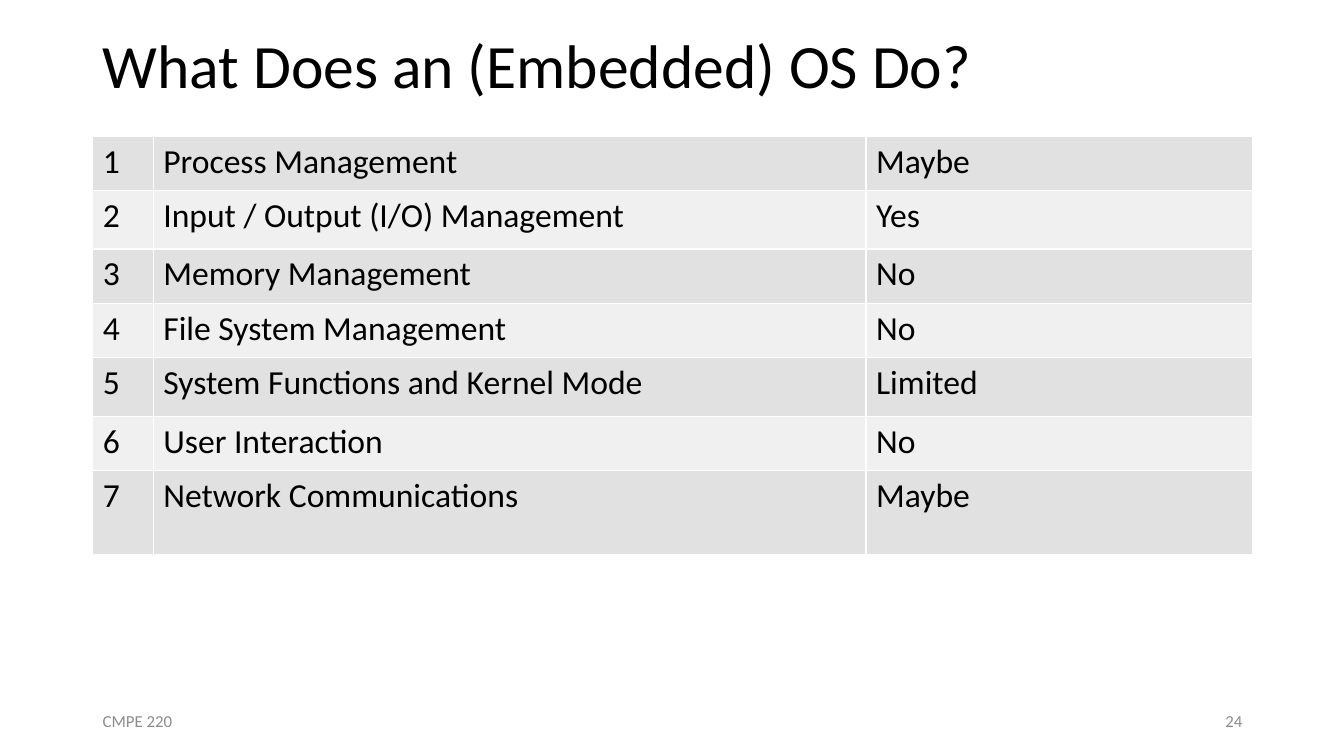
"""Build the slide on what an embedded operating system does."""
from lxml import etree
from pptx import Presentation
from pptx.dml.color import RGBColor
from pptx.enum import text
from pptx.oxml import ns
from pptx.util import Inches, Pt

BLACK = RGBColor(0, 0, 0)
GREY = RGBColor(0x8C, 0x8C, 0x8C)
DARK = RGBColor(0xE1, 0xE1, 0xE1)
LIGHT = RGBColor(0xF0, 0xF0, 0xF0)
WHITE = RGBColor(0xFF, 0xFF, 0xFF)
LEFT, WIDTH = 0.92, 11.5


def style(para, size, color):
    para.font.color.rgb = color
    for key, value in {"name": "Calibri", "size": Pt(size), "bold": False}.items():
        setattr(para.font, key, value)


def edge(cell):
    props = cell._tc.get_or_add_tcPr()
    for side in "LRTB":
        line = etree.SubElement(props, ns.qn(f"a:ln{side}"), w=str(Pt(1)))
        fill = etree.SubElement(line, ns.qn("a:solidFill"))
        etree.SubElement(fill, ns.qn("a:srgbClr"), val=str(WHITE))


deck = Presentation()
deck.slide_width, deck.slide_height = Inches(13.33), Inches(7.5)
slide = deck.slides.add_slide(deck.slide_layouts[6])

ALIGN = text.PP_ALIGN
labels = [
    ("What Does an (Embedded) OS Do?", LEFT, 0, WIDTH, 1.35, 44, BLACK, ALIGN.LEFT, 0.9),
    ("CMPE 220", LEFT, 6.95, 3, 0.4, 12, GREY, ALIGN.LEFT, 1),
    ("24", LEFT + WIDTH - 3, 6.95, 3, 0.4, 12, GREY, ALIGN.RIGHT, 1),
]
for words, x, y, wide, high, size, color, align, space in labels:
    box = slide.shapes.add_textbox(Inches(x), Inches(y), Inches(wide), Inches(high))
    frame = box.text_frame
    frame.word_wrap = True
    frame.vertical_anchor = text.MSO_ANCHOR.MIDDLE
    para = frame.paragraphs[0]
    para.text, para.alignment, para.line_spacing = words, align, space
    style(para, size, color)

tasks = [
    ("Process Management", "Maybe", 0.54),
    ("Input / Output (I/O) Management", "Yes", 0.58),
    ("Memory Management", "No", 0.54),
    ("File System Management", "No", 0.54),
    ("System Functions and Kernel Mode", "Limited", 0.58),
    ("User Interaction", "No", 0.54),
    ("Network Communications", "Maybe", 0.83),
]
total = sum(task[2] for task in tasks)
table = slide.shapes.add_table(
    len(tasks), 3, Inches(LEFT), Inches(1.35), Inches(WIDTH), Inches(total)
).table
table.first_row = table.horz_banding = False
for column, wide in zip(table.columns, (0.6, 7.07, 3.83)):
    column.width = Inches(wide)

for row, (task, answer, high) in enumerate(tasks):
    table.rows[row].height = Inches(high)
    for col, words in enumerate((str(row + 1), task, answer)):
        cell = table.cell(row, col)
        edge(cell)
        cell.fill.solid()
        cell.fill.fore_color.rgb = LIGHT if row % 2 else DARK
        cell.text = words
        style(cell.text_frame.paragraphs[0], 24, BLACK)

deck.save("out.pptx")
